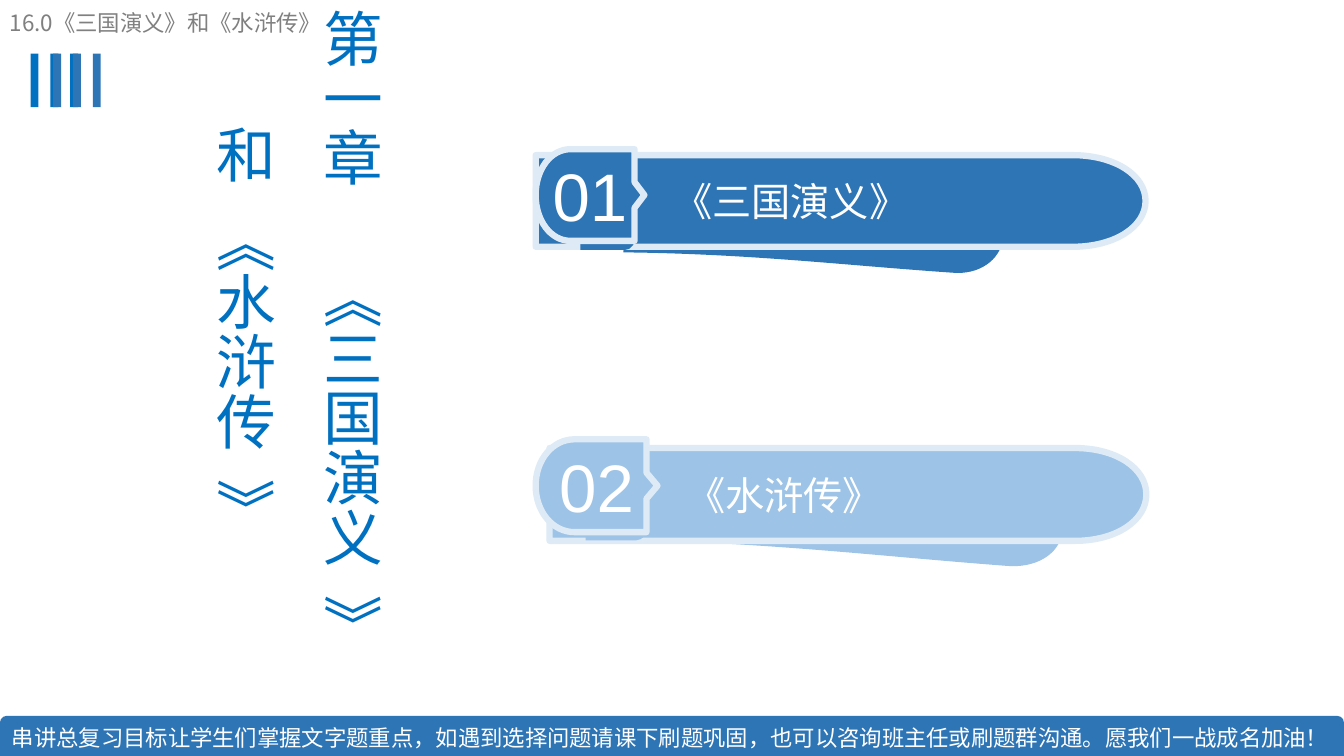
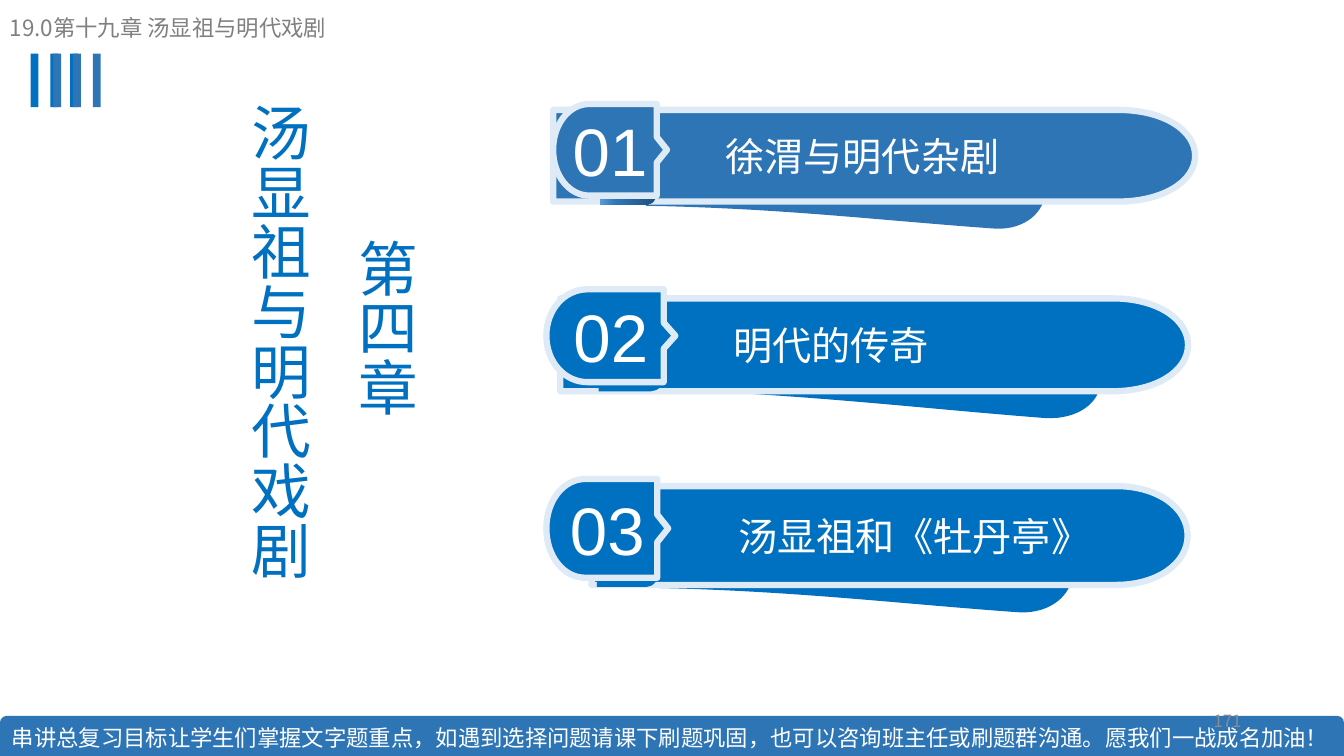
from copy import deepcopy

from lxml import etree
from pptx import Presentation
from pptx.dml.color import RGBColor
from pptx.enum.shapes import MSO_SHAPE
from pptx.enum.text import MSO_ANCHOR, MSO_AUTO_SIZE, PP_ALIGN
from pptx.oxml.ns import qn
from pptx.util import Cm, Pt

RECTANGLE, FOOTER_SHAPE = MSO_SHAPE.RECTANGLE, MSO_SHAPE.ROUND_2_SAME_RECTANGLE
TOP, MIDDLE, BOTTOM = MSO_ANCHOR.TOP, MSO_ANCHOR.MIDDLE, MSO_ANCHOR.BOTTOM
LEFT, CENTER, RIGHT = PP_ALIGN.LEFT, PP_ALIGN.CENTER, PP_ALIGN.RIGHT
NO_AUTOFIT = MSO_AUTO_SIZE.NONE

COLORS = {
    "bright": "0070C0", "deep": "2E75B6", "light": "9DC3E6", "edge": "DEEBF7",
    "navy": "1F4E79", "sky": "5B9BD5", "white": "FFFFFF",
    "header": "808080", "number": "8C8C8C",
}
CJK_FONT, DIGIT_FONT = "Noto Sans CJK SC", "Arial"
SPACE_WIDTH = 9.5  # points, one space in the title
FOOT_GRADIENT = [(0, "navy"), (0.71, "deep"), (1, "sky")]

# Content: numbers in a title column are gaps in points; boxes are
# left, top, width, height in centimetres
FOOTER = "串讲总复习目标让学生们掌握文字题重点，如遇到选择问题请课下刷题巩固，也可以咨询班主任或刷题群沟通。愿我们一战成名加油！"
SLIDES = [
    {
        "header": "16.0《三国演义》和《水浒传》",
        "header_box": (0, 0.1, 11.96, 0.94),
        "title": [["第一章", 58, "《三国演义", 20, "》"],
                  ["和", 20, "《水浒传", 20, "》"]],
        "title_box": (4.91, 0.1, 6, 17),
        "banners": [
            {"number": "01", "label": "《三国演义》", "color": "deep", "indent": 3.47,
             "tail": (15.65, 4.37, 9.63, 2.62), "bar": (13.5, 3.91, 15.37, 2.31),
             "foot": (14.63, 5.08, 1.4, 1.22), "badge": (13.5, 3.76, 2.74, 2.31)},
            {"number": "02", "label": "《水浒传》", "color": "light", "indent": 3.45,
             "tail": (15.93, 11.68, 10.85, 2.64), "bar": (13.85, 11.29, 15.04, 2.34),
             "foot": (14.76, 12.4, 1.57, 1.22), "badge": (13.5, 11.07, 3.07, 2.34)},
        ],
    },
    {
        "header": "19.0第十九章 汤显祖与明代戏剧",
        "header_box": (0, 0.23, 14.73, 0.94),
        "title": [["第四章"], [19, "汤显祖与明代戏剧"]],
        "title_box": (5.8, 1.8, 6, 13.47),
        "page": "171",
        "banners": [
            {"number": "01", "label": "徐渭与明代杂剧", "color": "deep", "indent": 4.34,
             "gradient_foot": True,
             "tail": (16.21, 3.23, 10.13, 2.62), "bar": (13.94, 2.77, 16.18, 2.31),
             "foot": (15.11, 3.94, 1.47, 1.22), "badge": (13.94, 2.62, 2.87, 2.31)},
            {"number": "02", "label": "明代的传奇", "color": "bright", "indent": 4.36,
             "tail": (16.31, 7.92, 11.43, 2.64), "bar": (14.12, 7.52, 15.82, 2.34),
             "foot": (15.09, 8.64, 1.65, 1.22), "badge": (13.77, 7.29, 3.25, 2.34)},
            {"number": "03", "label": "汤显祖和《牡丹亭》", "color": "bright", "indent": 3.69,
             "tail": (16.18, 12.73, 10.85, 2.79), "bar": (14.91, 12.25, 15.02, 2.49),
             "foot": (15.04, 13.49, 1.57, 1.3), "badge": (13.77, 12.07, 3.07, 2.49)},
        ],
    },
]

# Outlines as fractions of a box: two numbers are a corner, six a Bezier curve
OUTLINES = {
    "tail": [(0, 0.09), (0.88, 0), (0.95, 0, 1, 0.17, 1, 0.38),
             (1, 0.59, 0.95, 0.76, 0.88, 0.77), (0.59, 0.84, 0.35, 0.85, 0.02, 1),
             (0.02, 0.75, 0, 0.34, 0, 0.09)],
    "bar": [(0, 0), (0.88, 0), (0.95, 0, 1, 0.22, 1, 0.5),
            (1, 0.78, 0.95, 1, 0.88, 1), (0, 1)],
    "foot": [(0, 0), (0.8, 0), (0.91, 0, 1, 0.14, 1, 0.31), (1, 0.67),
             (1, 0.86, 0.91, 1, 0.8, 1), (0, 1)],
    "badge": [(0.32, 0), (0.91, 0), (0.91, 0.36), (1, 0.5), (0.91, 0.64), (0.91, 1),
              (0.32, 1), (0.14, 1, 0, 0.78, 0, 0.5), (0, 0.22, 0.14, 0, 0.32, 0)],
}
TAIL_ANGLE = 7.7


def rgb(name):
    return RGBColor.from_string(COLORS[name])


def cm_box(box):
    return [Cm(value) for value in box]


def style_paragraph(paragraph, size, color, align=LEFT, font_name=CJK_FONT):
    paragraph.alignment = align
    font = paragraph.font
    font.size = Pt(size)
    font.color.rgb = rgb(color)
    font.name = font_name
    defaults = paragraph._p.pPr.find(qn("a:defRPr"))
    etree.SubElement(defaults, qn("a:ea")).set("typeface", font_name)


def write(shape, text, size, color, anchor=TOP, **style):
    frame = shape.text_frame
    frame.word_wrap = True
    frame.vertical_anchor = anchor
    frame.text = text
    style_paragraph(frame.paragraphs[0], size, color, **style)


def paint(shape, color, edge=None):
    shape.shadow.inherit = False
    shape.fill.solid()
    shape.fill.fore_color.rgb = rgb(color)
    if edge:
        shape.line.color.rgb = rgb(edge)
        shape.line.width = Pt(4.5)
    else:
        shape.line.fill.background()


def paint_gradient(shape, stops):
    shape.fill.gradient()
    shape.fill.gradient_angle = 180
    stop_list = shape._element.spPr.find(".//" + qn("a:gsLst"))
    stop_list.append(deepcopy(stop_list[-1]))
    for stop, (position, color) in zip(shape.fill.gradient_stops, stops):
        stop.position = position
        stop.color.rgb = rgb(color)


def bend_segments(shape, segments, width, height):
    """Turn the straight segments that have control points into curves."""
    lines = shape._element.spPr.findall(".//" + qn("a:lnTo"))
    for line, segment in zip(lines, segments):
        if len(segment) == 2:
            continue
        curve = etree.Element(qn("a:cubicBezTo"))
        for x, y in zip(segment[::2], segment[1::2]):
            point = etree.SubElement(curve, qn("a:pt"))
            point.set("x", str(round(x * width)))
            point.set("y", str(round(y * height)))
        line.getparent().replace(line, curve)


def add_outline(shapes, kind, box, color, edge=None):
    left, top, width, height = cm_box(box)
    outline = OUTLINES[kind]
    points = [(round(left + segment[-2] * width), round(top + segment[-1] * height))
              for segment in outline]
    builder = shapes.build_freeform(*points[0], scale=1.0)
    builder.add_line_segments(points[1:], close=True)
    shape = builder.convert_to_shape()
    bend_segments(shape, outline[1:], width, height)
    paint(shape, color, edge)
    return shape


def add_banner(slide, banner):
    shapes = slide.shapes.add_group_shape().shapes
    parts = {kind: add_outline(shapes, kind, banner[kind], banner["color"], edge)
             for kind, edge in (("tail", None), ("bar", "edge"),
                                ("foot", None), ("badge", "edge"))}
    parts["tail"].rotation = TAIL_ANGLE
    if banner.get("gradient_foot"):
        paint_gradient(parts["foot"], FOOT_GRADIENT)
    write(parts["bar"], banner["label"], 28, "white", MIDDLE)
    parts["bar"].text_frame.margin_left = Cm(banner["indent"])
    write(parts["badge"], banner["number"], 48, "white", MIDDLE,
          align=CENTER, font_name=DIGIT_FONT)


def fill_title(slide, columns, box):
    title = slide.shapes.title
    title.left, title.top, title.width, title.height = cm_box(box)
    frame = title.text_frame
    frame.word_wrap = True
    frame.auto_size = NO_AUTOFIT
    frame.vertical_anchor = TOP
    frame._txBody.bodyPr.set("vert", "eaVert")
    for index, column in enumerate(columns):
        paragraph = frame.add_paragraph() if index else frame.paragraphs[0]
        paragraph.line_spacing = 1.5
        for part in column:
            run = paragraph.add_run()
            if isinstance(part, str):
                run.text = part
            else:
                run.text = " "
                spacing = round((part - SPACE_WIDTH) * 100)
                run._r.get_or_add_rPr().set("spc", str(spacing))
        style_paragraph(paragraph, 42.6, "bright", CENTER)


def add_text(slide, text, box, size, color, anchor=TOP, **style):
    write(slide.shapes.add_textbox(*cm_box(box)), text, size, color, anchor, **style)


def add_shared_frame(slide, master):
    """Draw the stripes and the footer band, then move them to the master."""
    frame = []
    for first_left, color in ((0.77, "bright"), (1.34, "deep")):
        for index in range(3):
            stripe = slide.shapes.add_shape(
                RECTANGLE, *cm_box((first_left + 0.5 * index, 1.35, 0.2, 1.35)))
            paint(stripe, color)
            frame.append(stripe)
    band = slide.shapes.add_shape(FOOTER_SHAPE, *cm_box((0, 18.04, 33.87, 1.01)))
    paint(band, "deep")
    write(band, FOOTER, 16, "white", BOTTOM)
    for shape in frame + [band]:
        master.shapes._spTree.append(shape._element)


def main():
    presentation = Presentation()
    presentation.slide_width, presentation.slide_height = Cm(33.87), Cm(19.05)
    layout = presentation.slide_layouts[5]  # title only
    for index, content in enumerate(SLIDES):
        slide = presentation.slides.add_slide(layout)
        if index == 0:
            add_shared_frame(slide, presentation.slide_master)
        if "page" in content:
            add_text(slide, content["page"], (23.92, 17.65, 7.62, 1.02), 12,
                     "number", MIDDLE, align=RIGHT)
        fill_title(slide, content["title"], content["title_box"])
        for banner in content["banners"]:
            add_banner(slide, banner)
        add_text(slide, content["header"], content["header_box"], 16, "header")
    presentation.save("out.pptx")


if __name__ == "__main__":
    main()
